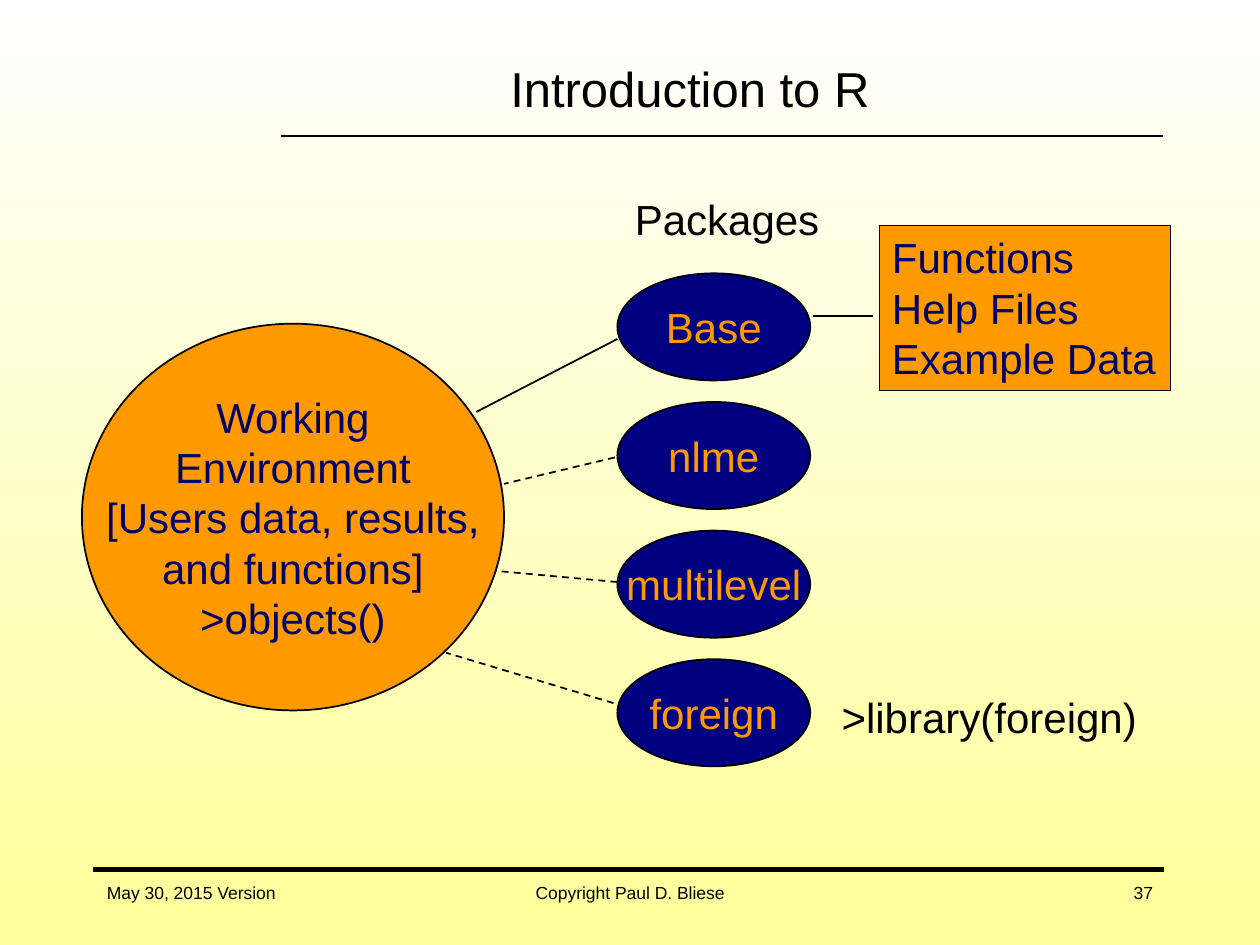
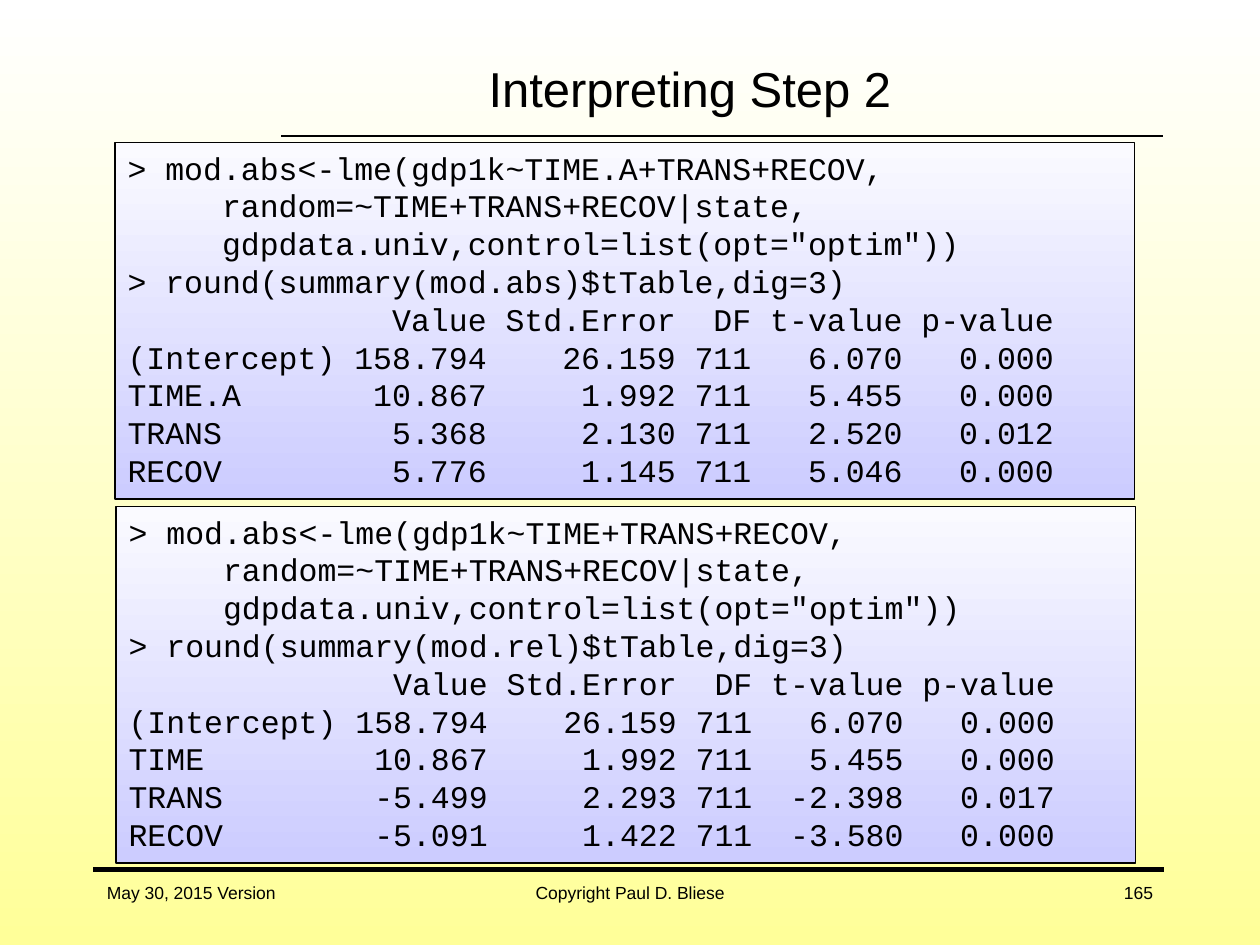
from dataclasses import dataclass

import pptx
import pptx.dml.color
import pptx.enum.dml
import pptx.enum.shapes
import pptx.enum.text
import pptx.oxml
import pptx.util

Pt = pptx.util.Pt
RGBColor = pptx.dml.color.RGBColor
Align = pptx.enum.text.PP_ALIGN
Anchor = pptx.enum.text.MSO_ANCHOR
Preset = pptx.enum.shapes.MSO_SHAPE

BLACK = RGBColor(0x00, 0x00, 0x00)
WHITE = RGBColor(0xFF, 0xFF, 0xFF)
PALE_YELLOW = RGBColor(0xFF, 0xFF, 0x99)
ORANGE = RGBColor(0xFF, 0x99, 0x00)
NAVY = RGBColor(0x00, 0x00, 0x80)
DARK_BLUE = RGBColor(0x00, 0x00, 0x66)
PALE_LILAC = RGBColor(0xFA, 0xFA, 0xFF)
LILAC = RGBColor(0xCC, 0xCC, 0xFF)


@dataclass(frozen=True)
class Frame:
    left: float
    top: float
    width: float
    height: float

    def lengths(self) -> tuple:
        return Pt(self.left), Pt(self.top), Pt(self.width), Pt(self.height)


@dataclass(frozen=True)
class TextStyle:
    size: float
    color: RGBColor = BLACK
    font: str = "Arial"
    align: Align = Align.LEFT
    anchor: Anchor = Anchor.TOP
    wrap: bool = False


@dataclass(frozen=True)
class Rule:
    start: tuple[float, float]
    end: tuple[float, float]
    width: float = 1
    dashed: bool = False


@dataclass(frozen=True)
class ModelOutput:
    frame: Frame
    time_term: str
    summary_object: str
    rows: list[tuple[str, ...]]


TITLE_FRAME = Frame(136.1, 20.2, 516.2, 59.8)
TITLE_STYLE = TextStyle(28, align=Align.CENTER, anchor=Anchor.MIDDLE, wrap=True)
SHARED_RULES = [
    Rule((160.6, 77.6), (664.6, 77.6)),
    Rule((53.3, 496.8), (665.3, 496.8), width=2.75),
]
LABEL = TextStyle(24)
WORKSPACE_TEXT = TextStyle(24, DARK_BLUE, align=Align.CENTER, anchor=Anchor.MIDDLE)
PACKAGE_TEXT = TextStyle(24, ORANGE, align=Align.CENTER, anchor=Anchor.MIDDLE)
CONTENTS_TEXT = TextStyle(24, DARK_BLUE)
CODE = TextStyle(18, font="Courier New", wrap=True)

PACKAGES = ["Base", "nlme", "multilevel", "foreign"]
PACKAGE_TOP = 156.2
PACKAGE_STEP = 73.5
PACKAGE_RULES = [
    Rule((352.8, 193.7), (272.2, 235.4)),
    Rule((351.4, 261.4), (288, 276.5), dashed=True),
    Rule((352.8, 332.6), (283, 326.2), dashed=True),
    Rule((350.6, 401.8), (254.9, 373), dashed=True),
    Rule((499, 180.7), (464.4, 180.7)),
]

COLUMN_HEADS = ("", "Value", "Std.Error", "DF", "t-value", "p-value")
INTERCEPT = ("(Intercept)", "158.794", "26.159", "711", "6.070", "0.000")
MODEL_OUTPUTS = [
    ModelOutput(
        Frame(65.8, 81.4, 582.5, 203.8), "TIME.A", "mod.abs",
        [
            ("TIME.A", "10.867", "1.992", "711", "5.455", "0.000"),
            ("TRANS", "5.368", "2.130", "711", "2.520", "0.012"),
            ("RECOV", "5.776", "1.145", "711", "5.046", "0.000"),
        ],
    ),
    ModelOutput(
        Frame(66.4, 289.4, 582.5, 203.8), "TIME", "mod.rel",
        [
            ("TIME", "10.867", "1.992", "711", "5.455", "0.000"),
            ("TRANS", "-5.499", "2.293", "711", "-2.398", "0.017"),
            ("RECOV", "-5.091", "1.422", "711", "-3.580", "0.000"),
        ],
    ),
]


def write_text(box, lines: list[str], style: TextStyle) -> None:
    text = box.text_frame
    text.auto_size = pptx.enum.text.MSO_AUTO_SIZE.NONE
    text.word_wrap = style.wrap
    text.vertical_anchor = style.anchor
    text.margin_left = text.margin_right = Pt(7.2)
    text.margin_top = text.margin_bottom = Pt(3.6)
    for index, line in enumerate(lines):
        para = text.paragraphs[0] if index == 0 else text.add_paragraph()
        para.alignment = style.align
        span = para.add_run()
        span.text = line
        span.font.size = Pt(style.size)
        span.font.name = style.font
        span.font.color.rgb = style.color


def add_text(page, frame: Frame, lines: list[str], style: TextStyle) -> None:
    write_text(page.shapes.add_textbox(*frame.lengths()), lines, style)


def fill_downward(fill, top: RGBColor, bottom: RGBColor) -> None:
    fill.gradient()
    fill.gradient_angle = 270
    for stop, color in zip(fill.gradient_stops, (top, bottom)):
        stop.color.rgb = color


def add_panel(page, preset: Preset, frame: Frame, colors: list[RGBColor],
              lines: list[str], style: TextStyle) -> None:
    panel = page.shapes.add_shape(preset, *frame.lengths())
    panel.shadow.inherit = False
    if len(colors) == 1:
        panel.fill.solid()
        panel.fill.fore_color.rgb = colors[0]
    else:
        fill_downward(panel.fill, *colors)
    panel.line.color.rgb = BLACK
    panel.line.width = Pt(1)
    write_text(panel, lines, style)


def add_rule(page, rule: Rule) -> None:
    points = [Pt(value) for value in rule.start + rule.end]
    line = page.shapes.add_connector(pptx.enum.shapes.MSO_CONNECTOR.STRAIGHT, *points)
    line.line.color.rgb = BLACK
    line.line.width = Pt(rule.width)
    if rule.dashed:
        line.line.dash_style = pptx.enum.dml.MSO_LINE.DASH
    effects = pptx.oxml.ns.qn("a:effectLst")
    line._element.spPr.append(pptx.oxml.xmlchemy.OxmlElement("a:effectLst")
                              if effects else None)


def add_page(deck, title: str, number: str):
    page = deck.slides.add_slide(deck.slide_layouts[5])
    for rule in SHARED_RULES:
        add_rule(page, rule)
    heading = page.shapes.title
    heading.left, heading.top, heading.width, heading.height = TITLE_FRAME.lengths()
    write_text(heading, [title], TITLE_STYLE)
    footers = [
        (54, 150, "May 30, 2015 Version", Align.LEFT),
        (246, 228, "Copyright Paul D. Bliese", Align.CENTER),
        (516, 150, number, Align.RIGHT),
    ]
    for left, width, words, align in footers:
        style = TextStyle(10, align=align, anchor=Anchor.MIDDLE, wrap=True)
        add_text(page, Frame(left, 492, width, 36), [words], style)
    return page


def build_packages(deck) -> None:
    page = add_page(deck, "Introduction to R", "37")
    workspace = ["Working", "Environment", "[Users data, results,",
                 "and functions]", ">objects()"]
    add_panel(page, Preset.OVAL, Frame(46.8, 185, 241.2, 221), [ORANGE],
              workspace, WORKSPACE_TEXT)
    for index, name in enumerate(PACKAGES):
        frame = Frame(352.8, PACKAGE_TOP + index * PACKAGE_STEP, 110.2, 61.2)
        add_panel(page, Preset.OVAL, frame, [NAVY], [name], PACKAGE_TEXT)
    for rule in PACKAGE_RULES:
        add_rule(page, rule)
    add_text(page, Frame(355.7, 107.3, 120.2, 36), ["Packages"], LABEL)
    add_panel(page, Preset.RECTANGLE, Frame(502.6, 128.9, 166.3, 94.3), [ORANGE],
              ["Functions", "Help Files", "Example Data"], CONTENTS_TEXT)
    add_text(page, Frame(473.8, 391.7, 183.6, 36), [">library(foreign)"], LABEL)


def format_row(cells: tuple[str, ...]) -> str:
    term, value, error, freedom, t_value, p_value = cells
    return f"{term:<11} {value:>7} {error:>9} {freedom:>3} {t_value:>7} {p_value:>7}"


def build_step_two(deck) -> None:
    page = add_page(deck, "Interpreting Step 2", "165")
    for output in MODEL_OUTPUTS:
        lines = [
            f"> mod.abs<-lme(gdp1k~{output.time_term}+TRANS+RECOV,",
            "     random=~TIME+TRANS+RECOV|state,",
            '     gdpdata.univ,control=list(opt="optim"))',
            f"> round(summary({output.summary_object})$tTable,dig=3)",
        ]
        lines += [format_row(row) for row in [COLUMN_HEADS, INTERCEPT, *output.rows]]
        add_panel(page, Preset.RECTANGLE, output.frame, [PALE_LILAC, LILAC], lines, CODE)


def main() -> None:
    deck = pptx.Presentation()
    deck.slide_width, deck.slide_height = Pt(720), Pt(540)
    fill_downward(deck.slide_master.background.fill, WHITE, PALE_YELLOW)
    build_packages(deck)
    build_step_two(deck)
    deck.save("out.pptx")


if __name__ == "__main__":
    main()
